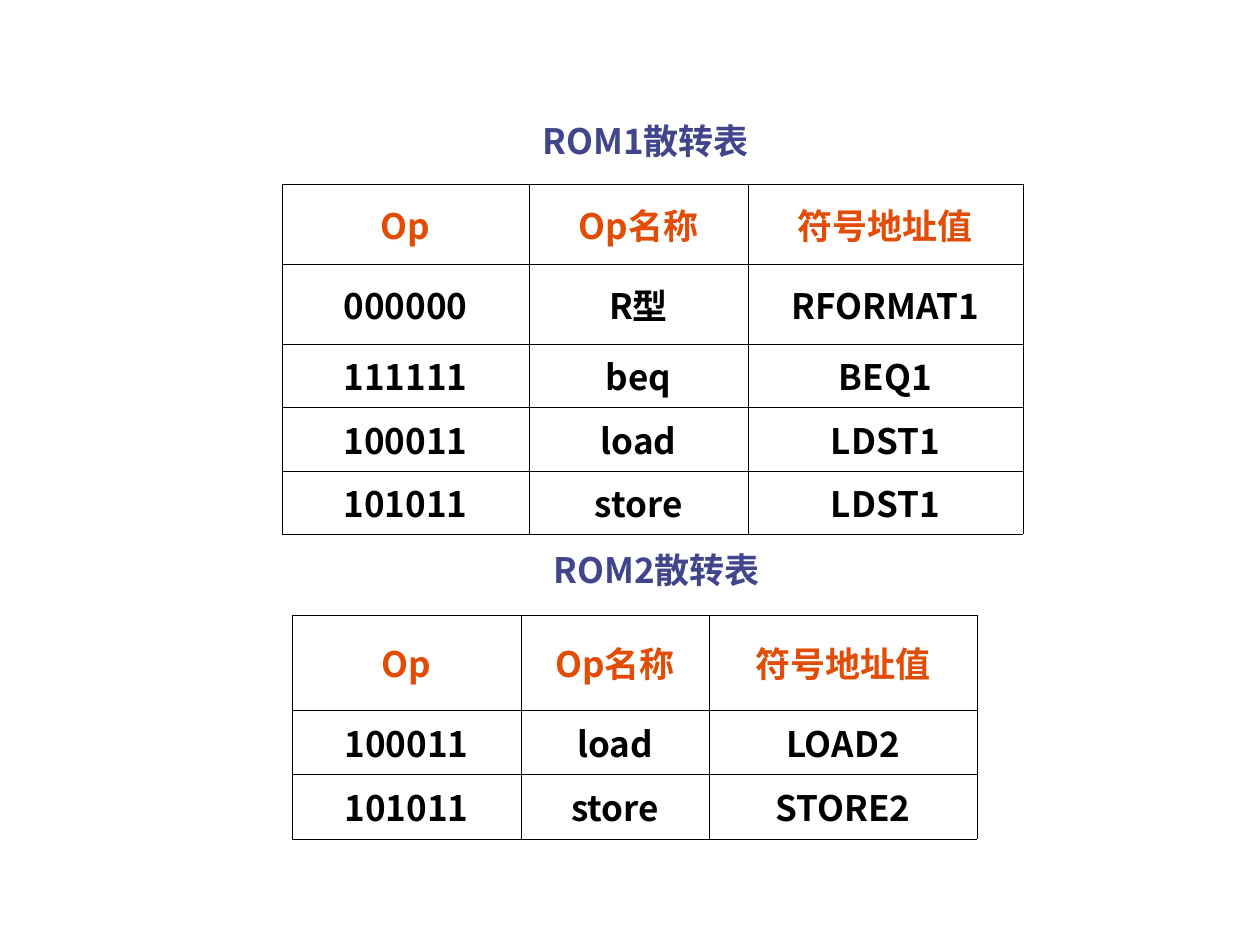
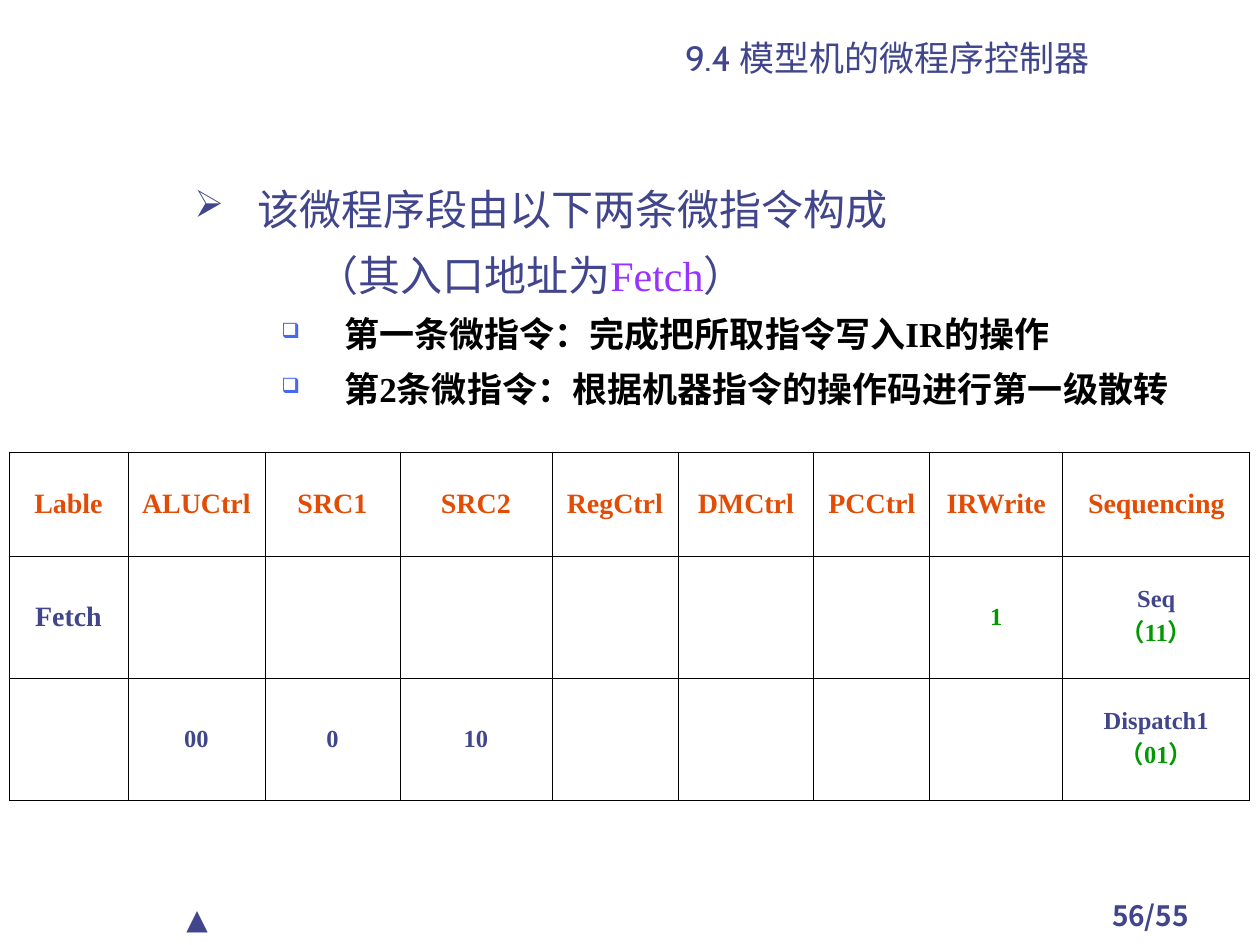
from lxml import etree
from pptx import Presentation
from pptx.dml.color import RGBColor
from pptx.enum.text import MSO_ANCHOR, PP_ALIGN
from pptx.oxml.ns import qn
from pptx.util import Emu, Pt

LEFT, CENTER = PP_ALIGN.LEFT, PP_ALIGN.CENTER
TOP, MIDDLE, BOTTOM = MSO_ANCHOR.TOP, MSO_ANCHOR.MIDDLE, MSO_ANCHOR.BOTTOM

SLIDE_SIZE = (1260, 945)
EMU_PER_PX = 914400 / 126
SANS, SERIF, TITLE_FONT = "Noto Sans CJK SC", "Times New Roman", "Cabin"
INDIGO, ORANGE, BLACK = "40458C", "E24C05", "000000"
GREEN, VIOLET, BLUE = "009900", "9933FF", "4768F5"


def text_style(name, size, color, bold=False):
    return {"name": name, "size": size, "color": color, "bold": bold}


# Colours and type sizes
THEME = {
    "title": text_style(TITLE_FONT, 20, INDIGO),
    "caption": text_style(SANS, 20, INDIGO, True),
    "rom head": text_style(SANS, 20, ORANGE, True),
    "rom body": text_style(SANS, 20, BLACK, True),
    "point": text_style(SERIF, 24, INDIGO),
    "entry": text_style(SERIF, 24, VIOLET),
    "detail": text_style(SERIF, 20, BLACK, True),
    "micro head": text_style(SERIF, 16, ORANGE, True),
    "micro label": text_style(SERIF, 16, INDIGO, True),
    "micro value": text_style(SERIF, 14, INDIGO, True),
    "micro code": text_style(SERIF, 14, GREEN, True),
    "page": text_style(SANS, 16, INDIGO, True),
    "marker": text_style(TITLE_FONT, 16, INDIGO),
    "border": {"color": BLACK, "width": 0.45},
}

# Dispatch tables
ROM_HEADER = ["Op", "Op名称", "符号地址值"]
ROM_TABLES = [
    {
        "caption": "ROM1散转表", "caption box": (530, 113, 287, 67),
        "origin": (282, 184), "columns": [247, 219, 275],
        "heights": [80, 80, 63, 64, 63],
        "rows": [
            ["000000", "R型", "RFORMAT1"],
            ["111111", "beq", "BEQ1"],
            ["100011", "load", "LDST1"],
            ["101011", "store", "LDST1"],
        ],
    },
    {
        "caption": "ROM2散转表", "caption box": (541, 542, 277, 67),
        "origin": (292, 615), "columns": [229, 188, 268],
        "heights": [95, 64, 65],
        "rows": [
            ["100011", "load", "LOAD2"],
            ["101011", "store", "STORE2"],
        ],
    },
]

# Microinstruction slide
TITLE = "9.4 模型机的微程序控制器"
POINT_FORMAT = {"line_spacing": Pt(31.7), "space_before": Pt(6)}
DETAIL_FORMAT = {"line_spacing": Pt(26.4), "space_before": Pt(5)}
ARROW = {"char": "➢", "color": INDIGO, "percent": 90}
SQUARE = {"char": "❑", "color": BLUE, "percent": 60}
OUTLINE = [
    {"runs": [("该微程序段由以下两条微指令构成", "point")],
     "format": POINT_FORMAT, "indent": (150, -63), "bullet": ARROW},
    {"runs": [("（其入口地址为", "point"), ("Fetch", "entry"), ("）", "point")],
     "format": POINT_FORMAT, "indent": (209, 0)},
    {"runs": [("第一条微指令：完成把所取指令写入IR的操作", "detail")],
     "format": DETAIL_FORMAT, "indent": (237, -63), "bullet": SQUARE},
    {"runs": [("第2条微指令：根据机器指令的操作码进行第一级散转", "detail")],
     "format": DETAIL_FORMAT, "indent": (237, -63), "bullet": SQUARE},
]
MICRO_HEADER = ["Lable", "ALUCtrl", "SRC1", "SRC2", "RegCtrl", "DMCtrl",
                "PCCtrl", "IRWrite", "Sequencing"]
# Each filled cell lists its lines by column
MICRO_ROWS = [
    {"Lable": [("Fetch", "micro label")],
     "IRWrite": [("1", "micro code")],
     "Sequencing": [("Seq", "micro value"), ("（11）", "micro code")]},
    {"ALUCtrl": [("00", "micro value")],
     "SRC1": [("0", "micro value")],
     "SRC2": [("10", "micro value")],
     "Sequencing": [("Dispatch1", "micro value"), ("（01）", "micro code")]},
]
MICRO_ORIGIN = (9, 452)
MICRO_COLUMNS = [119, 137, 135, 152, 126, 136, 116, 133, 187]
MICRO_HEIGHTS = [104, 122, 122]


def px(length):
    return Emu(round(length * EMU_PER_PX))


def add_run(paragraph, text, style_name):
    style = THEME[style_name]
    run = paragraph.add_run()
    run.text = text
    run.font.color.rgb = RGBColor.from_string(style["color"])
    formats = {"name": style["name"], "size": Pt(style["size"]), "bold": style["bold"]}
    for attribute, value in formats.items():
        setattr(run.font, attribute, value)
    properties = run.font._element
    etree.SubElement(properties, qn("a:ea"), typeface=SANS)


def add_bullet(properties, bullet):
    color = etree.SubElement(properties, qn("a:buClr"))
    etree.SubElement(color, qn("a:srgbClr"), val=bullet["color"])
    etree.SubElement(properties, qn("a:buSzPct"), val=str(bullet["percent"] * 1000))
    etree.SubElement(properties, qn("a:buChar"), char=bullet["char"])


def write_paragraphs(text_frame, paragraphs, align):
    for index, content in enumerate(paragraphs):
        paragraph = text_frame.paragraphs[0] if index == 0 else text_frame.add_paragraph()
        properties = paragraph._p.get_or_add_pPr()
        if "indent" in content:
            margin, first_line = content["indent"]
            properties.set("marL", str(px(margin)))
            properties.set("indent", str(px(first_line)))
        if "bullet" in content:
            add_bullet(properties, content["bullet"])
        formats = {"alignment": align, **content.get("format", {})}
        if index == 0:
            formats.pop("space_before", None)
        for attribute, value in formats.items():
            setattr(paragraph, attribute, value)
        for text, style_name in content["runs"]:
            add_run(paragraph, text, style_name)


def add_text(slide, box, paragraphs, align=LEFT, anchor=TOP):
    text_frame = slide.shapes.add_textbox(*map(px, box)).text_frame
    text_frame.word_wrap = True
    text_frame.vertical_anchor = anchor
    write_paragraphs(text_frame, paragraphs, align)


def add_line(slide, box, text, style_name, align=LEFT, anchor=TOP):
    add_text(slide, box, [{"runs": [(text, style_name)]}], align, anchor)


def add_borders(cell):
    properties = cell._tc.get_or_add_tcPr()
    for index, side in enumerate(("lnL", "lnR", "lnT", "lnB")):
        line = etree.Element(qn(f"a:{side}"), w=str(Pt(THEME["border"]["width"])))
        fill = etree.SubElement(line, qn("a:solidFill"))
        etree.SubElement(fill, qn("a:srgbClr"), val=THEME["border"]["color"])
        properties.insert(index, line)


def add_grid(slide, origin, columns, heights, rows):
    """Draw a bordered table; every cell is a list of (text, style) lines."""
    box = (*origin, sum(columns), sum(heights))
    table = slide.shapes.add_table(len(heights), len(columns), *map(px, box)).table
    table.first_row = table.horz_banding = False
    for column, width in zip(table.columns, columns):
        column.width = px(width)
    for row, height, lines_by_cell in zip(table.rows, heights, rows):
        row.height = px(height)
        for cell, lines in zip(row.cells, lines_by_cell):
            cell.vertical_anchor = MIDDLE
            cell.fill.background()
            add_borders(cell)
            write_paragraphs(cell.text_frame, [{"runs": [line]} for line in lines], CENTER)


def styled_row(texts, style_name):
    return [[(text, style_name)] for text in texts]


def build_dispatch_slide(slide):
    for rom in ROM_TABLES:
        add_line(slide, rom["caption box"], rom["caption"], "caption")
        rows = [styled_row(ROM_HEADER, "rom head")]
        rows += [styled_row(texts, "rom body") for texts in rom["rows"]]
        add_grid(slide, rom["origin"], rom["columns"], rom["heights"], rows)


def build_micro_slide(slide):
    # Footer
    add_line(slide, (1061, 892, 179, 42), "56/55", "page", CENTER)
    add_line(slide, (174, 895, 179, 47), "▲", "marker")
    # Title and outline
    add_line(slide, (536, 32, 703, 53), TITLE, "title", CENTER, BOTTOM)
    add_text(slide, (95, 172, 1098, 682), OUTLINE)
    # Microinstruction table
    rows = [styled_row(MICRO_HEADER, "micro head")]
    rows += [[cells.get(name, []) for name in MICRO_HEADER] for cells in MICRO_ROWS]
    add_grid(slide, MICRO_ORIGIN, MICRO_COLUMNS, MICRO_HEIGHTS, rows)


def main():
    presentation = Presentation()
    presentation.slide_width, presentation.slide_height = map(px, SLIDE_SIZE)
    blank_layout = presentation.slide_layouts[6]
    for build in (build_dispatch_slide, build_micro_slide):
        build(presentation.slides.add_slide(blank_layout))
    presentation.save("out.pptx")


if __name__ == "__main__":
    main()
